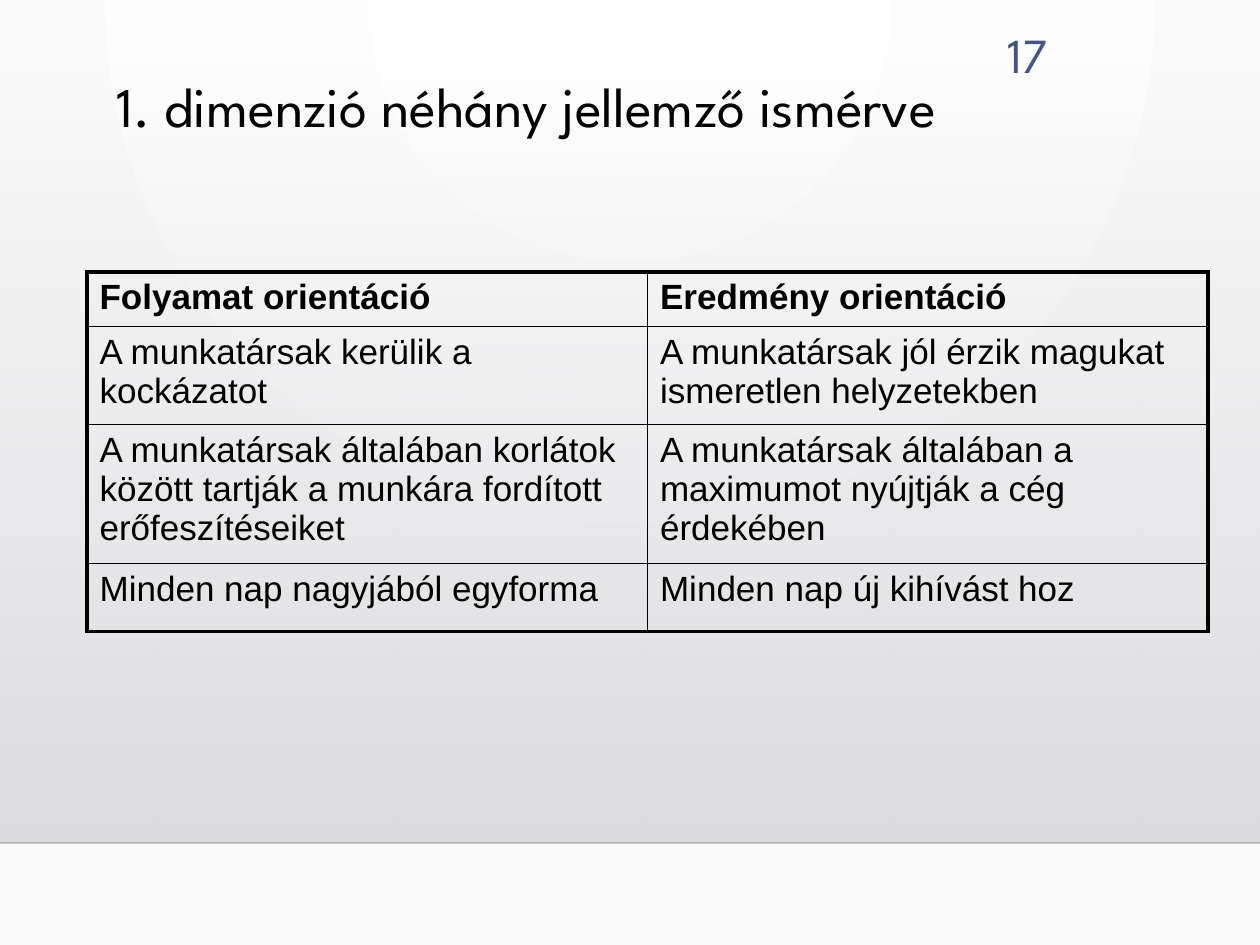
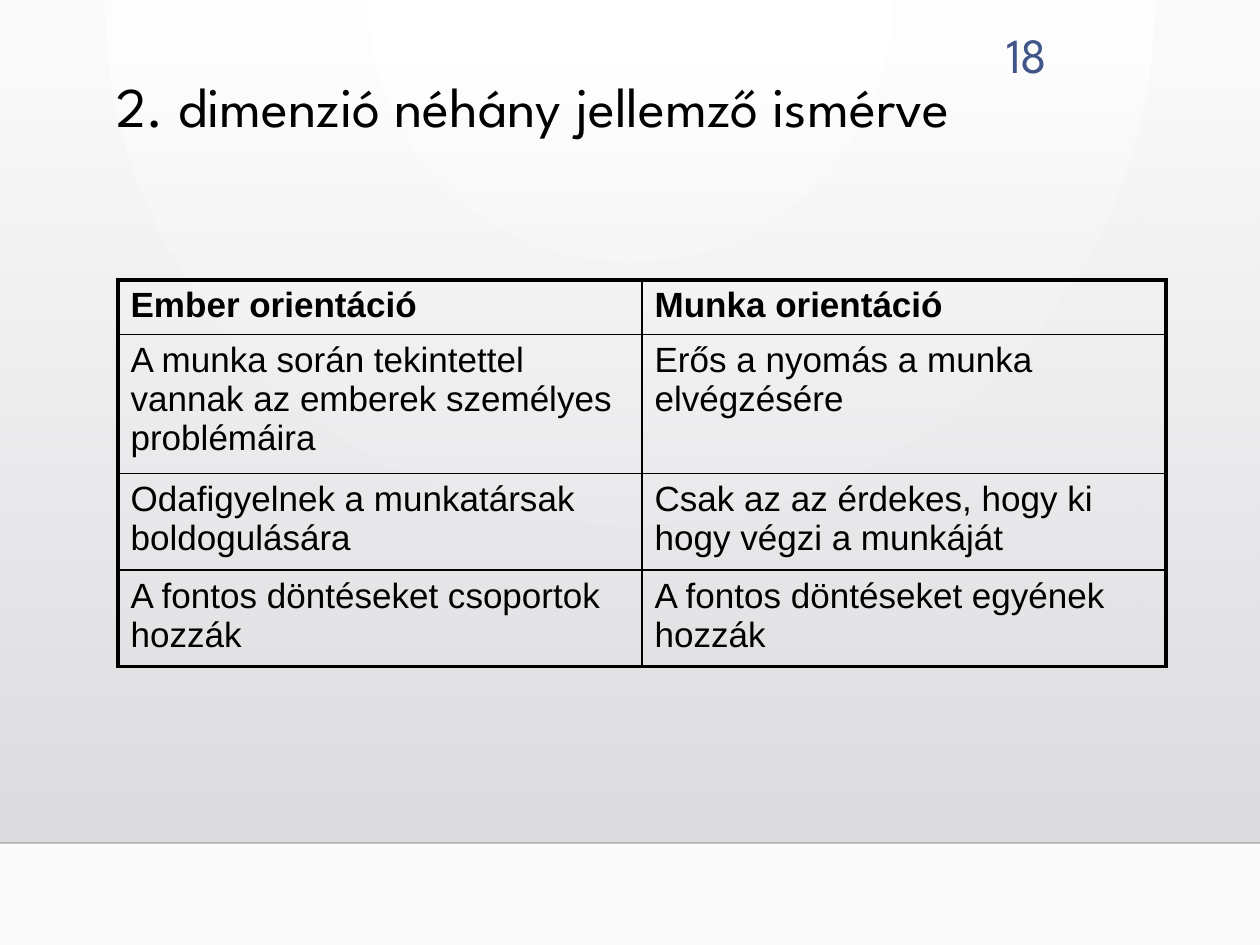
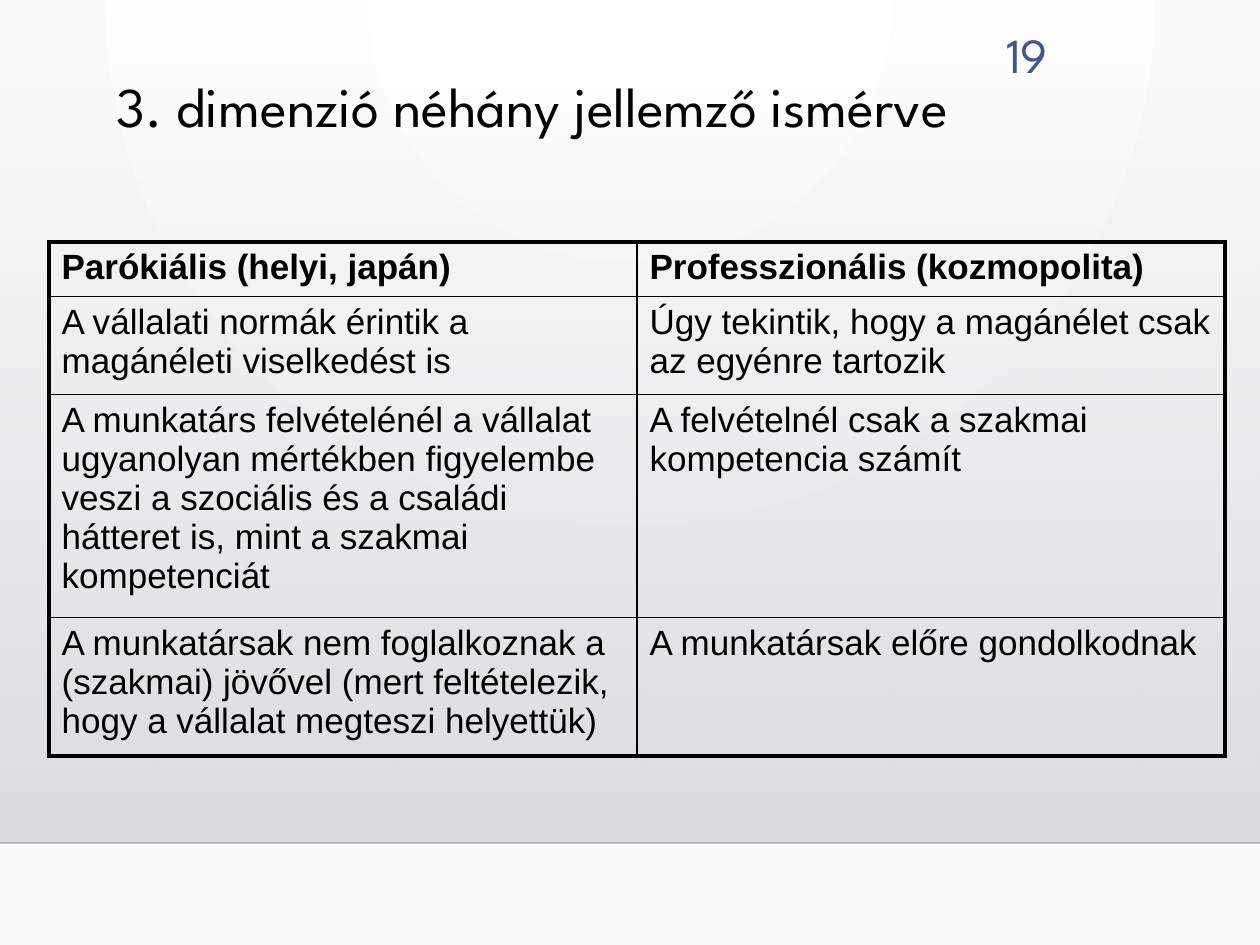
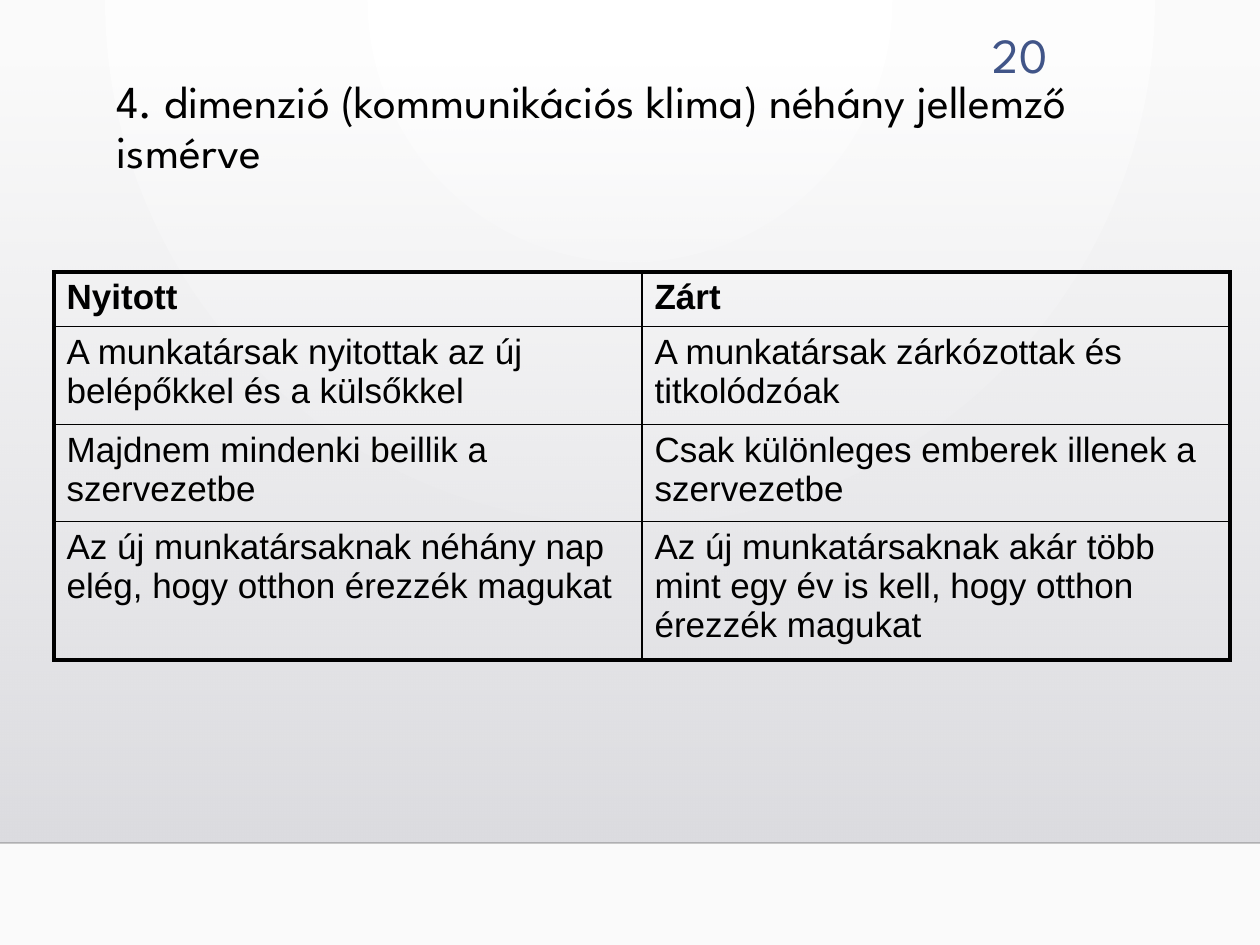
from pptx import Presentation
from pptx.dml.color import RGBColor
from pptx.enum.shapes import MSO_CONNECTOR, MSO_SHAPE
from pptx.enum.text import MSO_ANCHOR, MSO_AUTO_SIZE, PP_ALIGN
from pptx.oxml import parse_xml
from pptx.oxml.ns import nsdecls, qn
from pptx.util import Emu, Pt

# Shared look
SCALE = 914400 / 126  # EMU in one px
SLIDE_W, SLIDE_H = 1260, 945
BAND_TOP, BAND_BOTTOM = 64, 843
COLORS = {
    "text": "000000",
    "number": "415588",
    "edge": "000001",
    "page_light": "FFFFFF",
    "page": "FAFAFA",
    "band_top": "DCDCE0",
    "band": "DEDEE2",
}
TITLE_FONT, TABLE_FONT = "League Spartan", "Arial"
OUTER, INNER = 2.25, 1  # table border widths in points
NO_STYLE = "{2D5ABB26-0587-4C30-8999-92F81FD0307C}"

FIRST_NUMBER = 17
# title, title size, table box (left, top, width, height), second row height, rows
SLIDES = [
    ("1. dimenzió néhány jellemző ismérve", 32, (87, 272, 1121, 359), 98, [
        ("Folyamat orientáció", "Eredmény orientáció"),
        ("A munkatársak kerülik a kockázatot",
         "A munkatársak jól érzik magukat ismeretlen helyzetekben"),
        ("A munkatársak általában korlátok között tartják a munkára fordított "
         "erőfeszítéseiket",
         "A munkatársak általában a maximumot nyújtják a cég érdekében"),
        ("Minden nap nagyjából egyforma", "Minden nap új kihívást hoz"),
    ]),
    ("2. dimenzió néhány jellemző ismérve", 32, (118, 280, 1048, 387), 106, [
        ("Ember orientáció", "Munka orientáció"),
        ("A munka során tekintettel vannak az emberek személyes problémáira",
         "Erős a nyomás a munka elvégzésére"),
        ("Odafigyelnek a munkatársak boldogulására",
         "Csak az az érdekes, hogy ki hogy végzi a munkáját"),
        ("A fontos döntéseket csoportok hozzák",
         "A fontos döntéseket egyének hozzák"),
    ]),
    ("3. dimenzió néhány jellemző ismérve", 32, (49, 242, 1176, 514), 98, [
        ("Parókiális (helyi, japán)", "Professzionális (kozmopolita)"),
        ("A vállalati normák érintik a magánéleti viselkedést is",
         "Úgy tekintik, hogy a magánélet csak az egyénre tartozik"),
        ("A munkatárs felvételénél a vállalat ugyanolyan mértékben figyelembe "
         "veszi a szociális és a családi hátteret is, mint a szakmai kompetenciát",
         "A felvételnél csak a szakmai kompetencia számít"),
        ("A munkatársak nem foglalkoznak a (szakmai) jövővel (mert feltételezik, "
         "hogy a vállalat megteszi helyettük)",
         "A munkatársak előre gondolkodnak"),
    ]),
    ("4. dimenzió (kommunikációs klima) néhány jellemző ismérve", 26.1,
     (54, 272, 1176, 388), 98, [
        ("Nyitott", "Zárt"),
        ("A munkatársak nyitottak az új belépőkkel és a külsőkkel",
         "A munkatársak zárkózottak és titkolódzóak"),
        ("Majdnem mindenki beillik a szervezetbe",
         "Csak különleges emberek illenek a szervezetbe"),
        ("Az új munkatársaknak néhány nap elég, hogy otthon érezzék magukat",
         "Az új munkatársaknak akár több mint egy év is kell, hogy otthon "
         "érezzék magukat"),
    ]),
]


def px(n):
    return Emu(round(n * SCALE))


def rgb(name):
    return RGBColor.from_string(COLORS[name])


def format_text(p, font, size, color, bold=False):
    for r in p.runs:
        r.font.name = font
        r.font.size = Pt(size)
        r.font.bold = bold
        r.font.color.rgb = rgb(color)


def set_gradient(parent, stops, direction):
    """Replace the solid fill of parent by stops of (position, color, alpha)."""
    gs = "".join(
        f'<a:gs pos="{pos * 1000}"><a:srgbClr val="{COLORS[color]}">'
        f'<a:alpha val="{alpha * 1000}"/></a:srgbClr></a:gs>'
        for pos, color, alpha in stops)
    grad = parse_xml(f'<a:gradFill {nsdecls("a")} rotWithShape="1">'
                     f'<a:gsLst>{gs}</a:gsLst>{direction}</a:gradFill>')
    parent.replace(parent.find(qn("a:solidFill")), grad)


def style_layout(layout, slide):
    """Give the layout its background, its band and the line under the band."""
    layout.background.fill.solid()
    set_gradient(layout._element.find(".//" + qn("p:bgPr")),
                 [(0, "page_light", 100), (100, "page", 100)],
                 '<a:path path="circle"><a:fillToRect l="43000" t="0" '
                 'r="43000" b="100000"/></a:path>')

    band = slide.shapes.add_shape(MSO_SHAPE.RECTANGLE, 0, px(BAND_TOP),
                                  px(SLIDE_W), px(BAND_BOTTOM - BAND_TOP))
    band.shadow.inherit = False
    band.line.fill.background()
    band.fill.solid()
    set_gradient(band._element.spPr,
                 [(0, "band_top", 0), (100, "band", 100)],
                 '<a:lin ang="5400000" scaled="0"/>')

    edge = slide.shapes.add_connector(MSO_CONNECTOR.STRAIGHT, 0, px(BAND_BOTTOM),
                                      px(SLIDE_W), px(BAND_BOTTOM))
    edge.line.width = Pt(1)
    edge.line.color.rgb = rgb("edge")
    sp_pr = edge._element.spPr
    sp_pr.find(".//" + qn("a:srgbClr")).append(
        parse_xml(f'<a:alpha {nsdecls("a")} val="20000"/>'))
    sp_pr.append(parse_xml(f'<a:effectLst {nsdecls("a")}/>'))

    # Move both behind the placeholders of the layout
    for i, sp in enumerate((band, edge)):
        layout.shapes._spTree.insert(2 + i, sp._element)


def add_number(slide, number):
    sp = slide.shapes.add_textbox(px(950), px(18), px(110), px(69))
    tf = sp.text_frame
    tf.word_wrap = True
    tf.text = str(number)
    p = tf.paragraphs[0]
    p.alignment = PP_ALIGN.RIGHT
    format_text(p, TITLE_FONT, 28, "number")


def set_title(slide, text, size):
    sp = slide.shapes.title
    sp.left, sp.top, sp.width, sp.height = px(104), px(73), px(1061), px(116)
    tf = sp.text_frame
    tf.text = text
    tf.word_wrap = True
    tf.auto_size = MSO_AUTO_SIZE.NONE
    tf.vertical_anchor = MSO_ANCHOR.TOP
    p = tf.paragraphs[0]
    p.alignment = PP_ALIGN.LEFT
    p.line_spacing = 0.9
    format_text(p, TITLE_FONT, size, "text")


def set_borders(cell, widths):
    tc_pr = cell._tc.get_or_add_tcPr()
    for i, (side, width) in enumerate(widths.items()):
        tc_pr.insert(i, parse_xml(
            f'<a:{side} {nsdecls("a")} w="{Pt(width)}"><a:solidFill>'
            f'<a:srgbClr val="{COLORS["text"]}"/></a:solidFill></a:{side}>'))


def add_comparison(slide, box, second_row, rows):
    left, top, width, height = (px(n) for n in box)
    n_rows, n_cols = len(rows), len(rows[0])
    frame = slide.shapes.add_table(n_rows, n_cols, left, top, width, height)
    table = frame.table
    table.first_row = table.horz_banding = False
    table._tbl.tblPr.find(qn("a:tableStyleId")).text = NO_STYLE
    for row, row_height in zip(table.rows, (47, second_row, 68, 68)):
        row.height = px(row_height)
    frame.height = height  # rows grow with their text

    for i, texts in enumerate(rows):
        for j, text in enumerate(texts):
            cell = table.cell(i, j)
            cell.text = text
            format_text(cell.text_frame.paragraphs[0], TABLE_FONT, 20, "text",
                        bold=i == 0)
            cell.fill.background()
            on_edge = {"lnL": j == 0, "lnR": j == n_cols - 1,
                       "lnT": i == 0, "lnB": i == n_rows - 1}
            set_borders(cell, {side: OUTER if outer else INNER
                               for side, outer in on_edge.items()})


def main():
    prs = Presentation()
    prs.slide_width, prs.slide_height = px(SLIDE_W), px(SLIDE_H)
    layout = prs.slide_layouts[5]  # title only

    for i, (title, size, box, second_row, rows) in enumerate(SLIDES):
        slide = prs.slides.add_slide(layout)
        if i == 0:
            style_layout(layout, slide)
        add_number(slide, FIRST_NUMBER + i)
        set_title(slide, title, size)
        add_comparison(slide, box, second_row, rows)

    prs.save("out.pptx")


if __name__ == "__main__":
    main()
